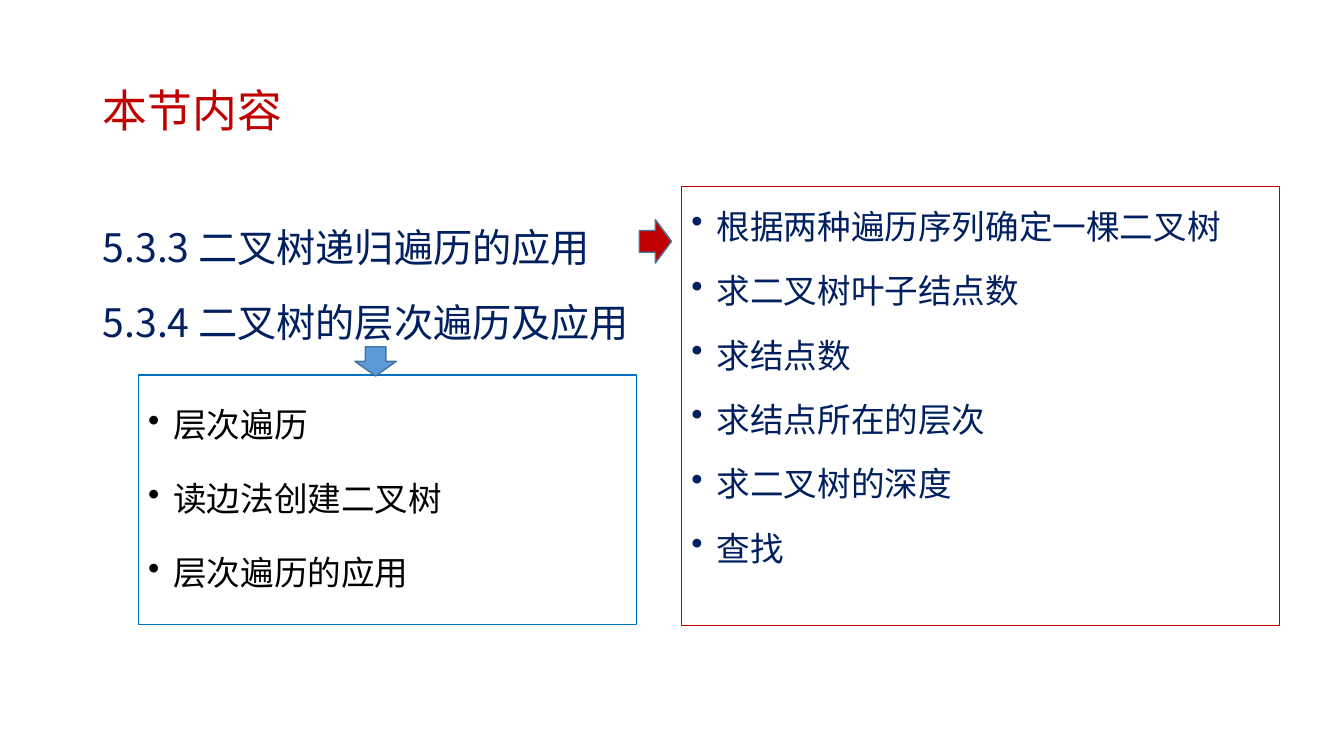
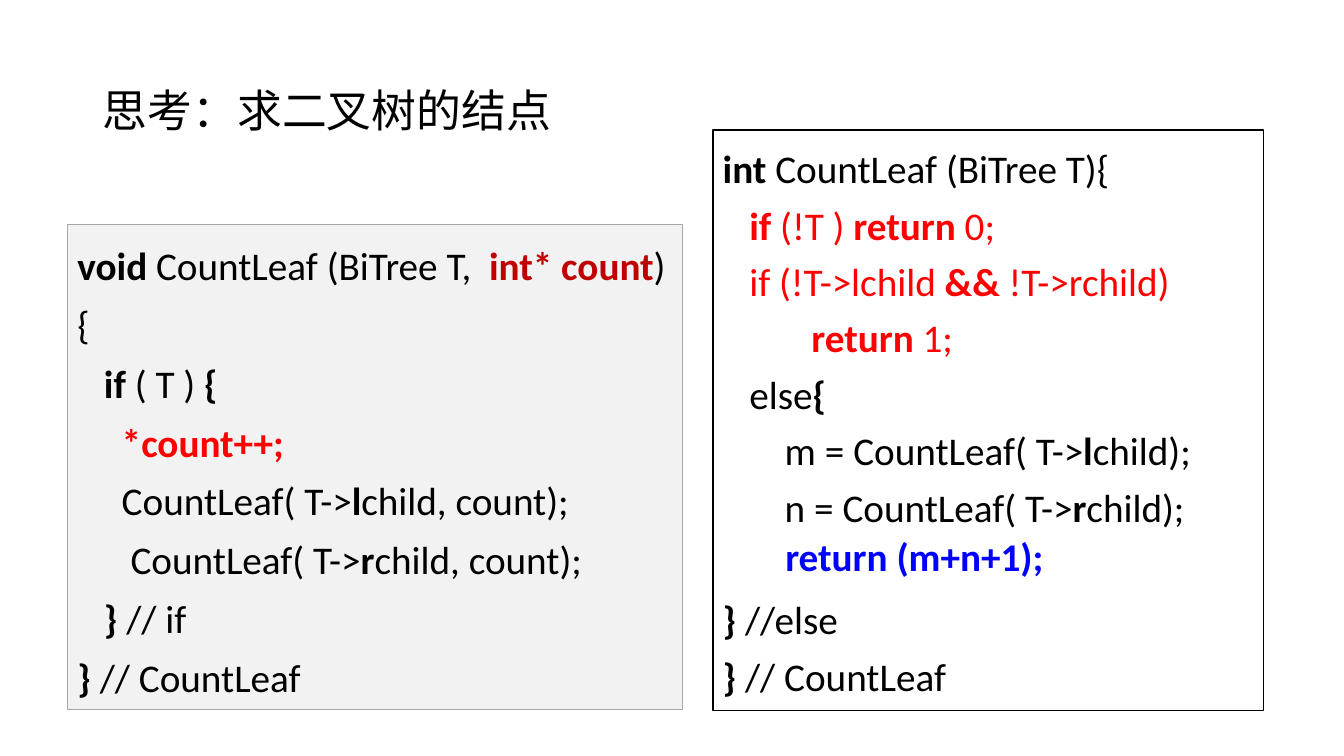
"""Build two slides on binary tree traversal and node counting."""
from dataclasses import dataclass

import pptx
import pptx.dml.color
import pptx.enum.shapes
import pptx.enum.text
import pptx.oxml
import pptx.oxml.ns
import pptx.util
from lxml import etree

Inches = pptx.util.Inches
Pt = pptx.util.Pt
SHAPE = pptx.enum.shapes.MSO_SHAPE
ANCHOR = pptx.enum.text.MSO_ANCHOR

HUE = {
    "dark": "C00000", "navy": "002060", "black": "000000",
    "red": "FF0000", "blue": "0000FF", "sky": "0070C0",
    "fill": "F2F2F2", "edge": "A6A6A6",
    "arrow": "5B9BD5", "rim": "43739E",
}
HAN = "Noto Sans CJK SC"
CODE = "Calibri"


@dataclass(frozen=True)
class Run:
    """Hold a piece of text with its weight and colour."""
    text: str
    bold: bool = False
    hue: str = "black"


@dataclass(frozen=True)
class Line:
    """Hold the runs of a line and the points above it."""
    runs: tuple[Run, ...]
    gap: float = 0


@dataclass(frozen=True)
class Box:
    """Hold the place of a shape and its look."""
    left: float
    top: float
    width: float
    height: float
    fill: str = ""
    edge: str = ""
    rule: float = 0.75
    kind: SHAPE = SHAPE.RECTANGLE


def rgb(hue: str) -> pptx.dml.color.RGBColor:
    """Return the named colour."""
    return pptx.dml.color.RGBColor.from_string(HUE[hue])


def place(shape, box: Box) -> None:
    """Move a shape to the place of a box."""
    shape.left, shape.top = Inches(box.left), Inches(box.top)
    shape.width, shape.height = Inches(box.width), Inches(box.height)


def draw(slide, box: Box):
    """Draw a box and return its shape."""
    shape = slide.shapes.add_shape(box.kind, 0, 0, 0, 0)
    place(shape, box)
    shape.shadow.inherit = False
    if box.fill:
        shape.fill.solid()
        shape.fill.fore_color.rgb = rgb(box.fill)
    else:
        shape.fill.background()
    if box.edge:
        shape.line.color.rgb = rgb(box.edge)
        shape.line.width = Pt(box.rule)
    else:
        shape.line.fill.background()
    return shape


def mark(para) -> None:
    """Give a paragraph a hanging bullet."""
    props = para._p.get_or_add_pPr()
    props.set("marL", str(Inches(0.25)))
    props.set("indent", str(-Inches(0.25)))
    etree.SubElement(props, pptx.oxml.ns.qn("a:buChar")).set("char", "•")


def write(shape, lines: list[Line], *, size: float, font: str,
          space: float | Pt = 1.0, inset: float = 0.05,
          bullet: bool = False, anchor: ANCHOR = ANCHOR.TOP) -> None:
    """Write formatted lines into a shape."""
    frame = shape.text_frame
    frame.word_wrap = True
    frame.auto_size = pptx.enum.text.MSO_AUTO_SIZE.NONE
    frame.vertical_anchor = anchor
    frame.margin_top = Inches(inset)
    for i, line in enumerate(lines):
        para = frame.add_paragraph() if i else frame.paragraphs[0]
        if bullet:
            mark(para)
        para.alignment = pptx.enum.text.PP_ALIGN.LEFT
        para.line_spacing = space
        para.space_before = Pt(line.gap if i else 0)
        for part in line.runs:
            run = para.add_run()
            run.text = part.text
            run.font.size = Pt(size)
            run.font.bold = part.bold
            run.font.color.rgb = rgb(part.hue)
            run.font.name = font
            east = etree.SubElement(run._r.get_or_add_rPr(),
                                    pptx.oxml.ns.qn("a:ea"))
            east.set("typeface", font)


def plain(texts: list[str], hue: str) -> list[Line]:
    """Return evenly spaced lines of one colour."""
    return [Line((Run(text, hue=hue),), 10) for text in texts]


def start(deck, title: str, hue: str):
    """Add a slide with its title."""
    slide = deck.slides.add_slide(deck.slide_layouts[5])
    head = slide.shapes.title
    place(head, Box(0.92, 0.4, 11.5, 1.45))
    write(head, plain([title], hue), size=32, font=HAN, space=0.9,
          anchor=ANCHOR.MIDDLE)
    return slide


def topics(deck) -> None:
    """Build the slide that lists the topics."""
    slide = start(deck, "本节内容", "dark")
    heads = plain(["5.3.3 二叉树递归遍历的应用",
                   "5.3.4 二叉树的层次遍历及应用"], "navy")
    uses = plain(["根据两种遍历序列确定一棵二叉树", "求二叉树叶子结点数",
                  "求结点数", "求结点所在的层次", "求二叉树的深度", "查找"],
                 "navy")
    levels = plain(["层次遍历", "读边法创建二叉树", "层次遍历的应用"], "black")
    write(draw(slide, Box(0.92, 2, 6.14, 1.6)), heads,
          size=28, font=HAN, space=Pt(43), inset=0.09)
    for box, lines, space in (
            (Box(6.76, 1.85, 5.93, 4.36, edge="dark"), uses, 36),
            (Box(1.37, 3.72, 4.94, 2.48, edge="sky"), levels, 43)):
        write(draw(slide, box), lines, size=24, font=HAN,
              space=Pt(space), inset=0.09, bullet=True)
    draw(slide, Box(3.52, 3.44, 0.41, 0.29, "arrow", "rim", 1,
                    SHAPE.DOWN_ARROW))
    draw(slide, Box(6.34, 2.18, 0.32, 0.43, "dark", "rim", 1,
                    SHAPE.RIGHT_ARROW))


def count(deck) -> None:
    """Build the slide that compares two counting functions."""
    slide = start(deck, "思考：求二叉树的结点", "black")
    close = Line((Run("} ", True), Run("// CountLeaf")))
    walk = [
        Line((Run("void ", True), Run("CountLeaf (BiTree T,  "),
              Run("int* count", True, "dark"), Run(")"))),
        Line((Run("{"),)),
        Line((Run("   if", True), Run(" ( T ) "), Run("{", True))),
        Line((Run("     *count++;", True, "red"),)),
        Line((Run("     CountLeaf( T->"), Run("l", True),
              Run("child, count);"))),
        Line((Run("      CountLeaf( T->"), Run("r", True),
              Run("child, count);"))),
        Line((Run("   } ", True), Run("// if"))),
        close,
    ]
    total = [
        Line((Run("int ", True), Run("CountLeaf (BiTree T){"))),
        Line((Run("   if ", True, "red"), Run("(!T ) ", hue="red"),
              Run("return", True, "red"), Run(" 0;", hue="red"))),
        Line((Run("   if (!T->lchild ", hue="red"), Run("&&", True, "red"),
              Run(" !T->rchild)", hue="red"))),
        Line((Run("          return ", True, "red"), Run("1;", hue="red"))),
        Line((Run("   else"), Run("{", True))),
        Line((Run("       m = CountLeaf( T->"), Run("l", True),
              Run("child);"))),
        Line((Run("       n = CountLeaf( T->"), Run("r", True),
              Run("child);"))),
        Line((Run("} ", True), Run("//else")), 40),
        close,
    ]
    result = [Line((Run("return (m+n+1);", True, "blue"),))]
    for box, lines, space in (
            (Box(0.67, 2.23, 6.1, 4.81, "fill", "edge"), walk, 1.25),
            (Box(7.07, 1.29, 5.46, 5.76, edge="black", rule=1), total, 1.2),
            (Box(7.69, 5.23, 3.06, 0.57), result, 1.0)):
        write(draw(slide, box), lines, size=28, font=CODE, space=space)


def main() -> None:
    """Build and save the deck."""
    deck = pptx.Presentation()
    deck.slide_width, deck.slide_height = Inches(13.33), Inches(7.5)
    topics(deck)
    count(deck)
    deck.save("out.pptx")


if __name__ == "__main__":
    main()
